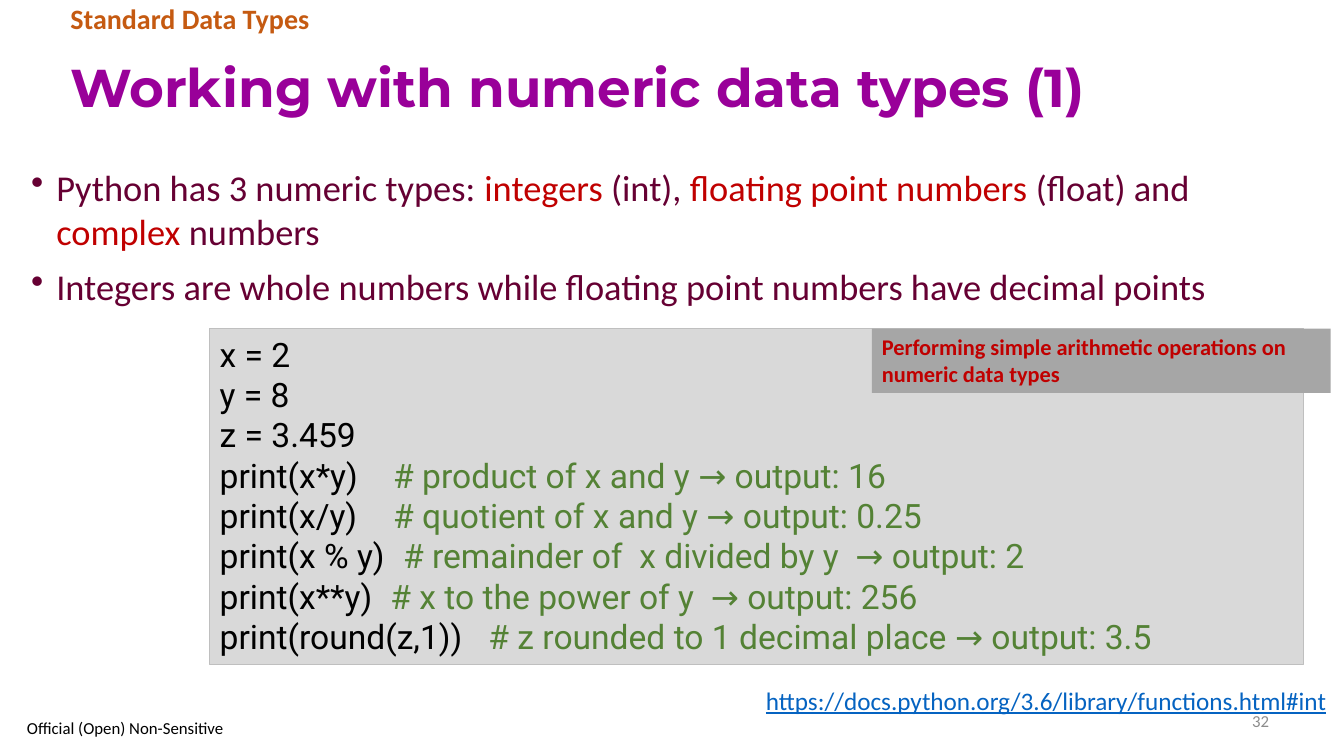
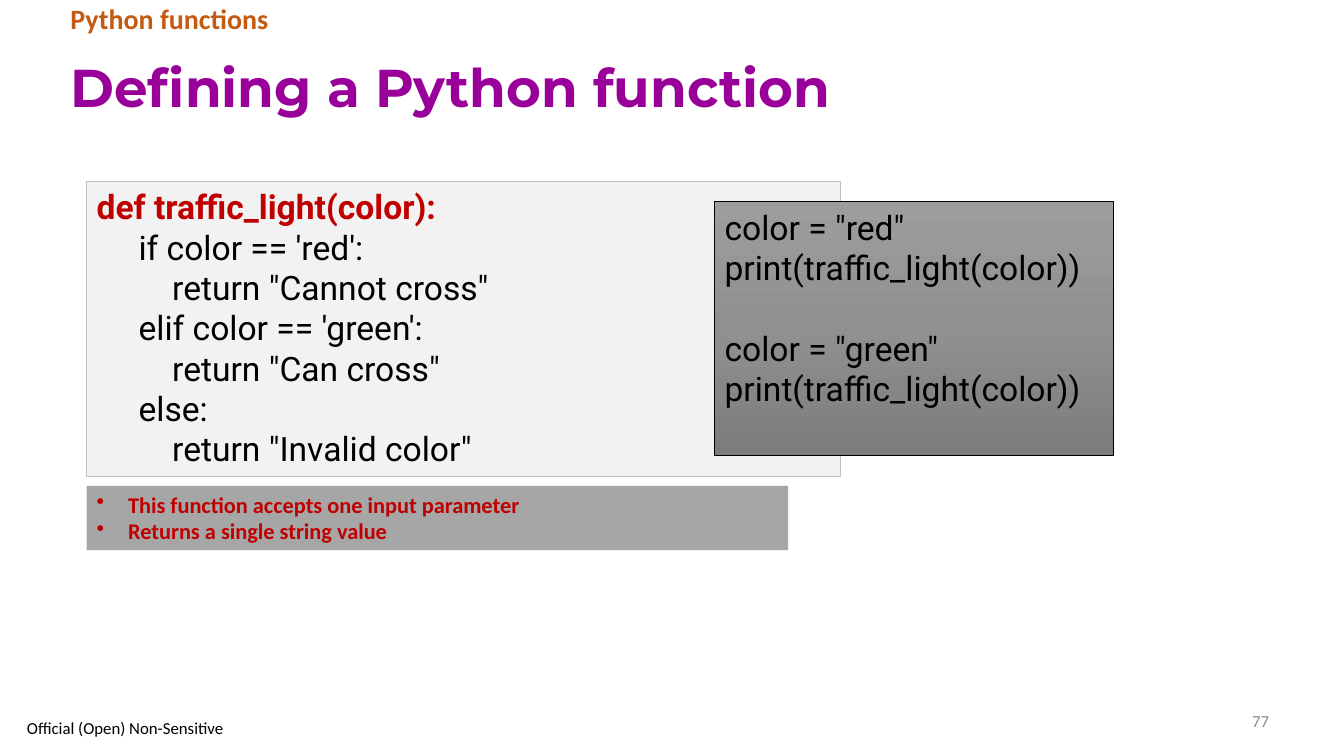
import copy
from dataclasses import dataclass

import lxml.etree
import pptx
import pptx.dml.color
import pptx.enum.shapes
import pptx.enum.text
import pptx.oxml.ns
import pptx.util

Pt = pptx.util.Pt
qn = pptx.oxml.ns.qn
Align = pptx.enum.text.PP_ALIGN
Anchor = pptx.enum.text.MSO_ANCHOR


@dataclass(frozen=True)
class Theme:
    # Fonts
    sans: str = "Calibri"
    head: str = "Montserrat"
    mono: str = "Roboto"
    # Colours
    purple: str = "990099"
    orange: str = "C55A11"
    plum: str = "660033"
    red: str = "C00000"
    green: str = "548235"
    blue: str = "0563C1"
    black: str = "000000"
    gray: str = "8C8C8C"
    light: str = "F2F2F2"
    panel: str = "D9D9D9"
    edge: str = "BFBFBF"
    band: str = "A6A6A6"
    shade: tuple = ((0, "9D9D9D"), (0.5, "909090"), (1, "7C7C7C"))
    # Type sizes
    title: int = 38
    body: int = 26
    code: int = 24
    topic: int = 20
    link: int = 18
    note: int = 16
    small: int = 12


T = Theme()


def rgb(color):
    return pptx.dml.color.RGBColor.from_string(color)


class Deck:
    def __init__(self):
        self.prs = pptx.Presentation()
        self.prs.slide_width, self.prs.slide_height = Pt(960), Pt(540)
        self.slide = None

    # Text: a line is a string or a list of (text, colour) parts
    def typeset(self, frame, lines, size, color, font=T.sans, bold=False):
        frame.word_wrap = True
        for i, line in enumerate(lines):
            para = frame.paragraphs[0] if i == 0 else frame.add_paragraph()
            para.alignment = Align.LEFT
            parts = [(line, color)] if isinstance(line, str) else line
            para.text = parts[0][0]
            for text, _ in parts[1:]:
                para.add_run().text = text
            for run, (_, tint) in zip(para.runs, parts):
                run.font.name, run.font.size = font, Pt(size)
                run.font.bold = bold
                run.font.color.rgb = rgb(tint)
        return frame.paragraphs

    def text(self, box, lines, size, color, anchor=Anchor.TOP, **look):
        shape = self.slide.shapes.add_textbox(*map(Pt, box))
        shape.text_frame.vertical_anchor = anchor
        return self.typeset(shape.text_frame, lines, size, color, **look)

    def panel(self, box, fill, lines, size, color, edge=None, width=0.75, **look):
        kind = pptx.enum.shapes.MSO_SHAPE.RECTANGLE
        shape = self.slide.shapes.add_shape(kind, *map(Pt, box))
        shape.shadow.inherit = False
        if isinstance(fill, str):
            shape.fill.solid()
            shape.fill.fore_color.rgb = rgb(fill)
        else:
            self.blend(shape, fill)
        if edge:
            shape.line.color.rgb = rgb(edge)
            shape.line.width = Pt(width)
        else:
            shape.line.fill.background()
        shape.text_frame.vertical_anchor = Anchor.TOP
        return self.typeset(shape.text_frame, lines, size, color, **look)

    def blend(self, shape, stops):
        shape.fill.gradient()
        shape.fill.gradient_angle = 270
        first = shape.fill.gradient_stops[0]._gs
        first.addnext(copy.deepcopy(first))
        for stop, (place, color) in zip(shape.fill.gradient_stops, stops):
            stop.position = place
            stop.color.rgb = rgb(color)

    def code(self, box, fill, lines, **look):
        return self.panel(box, fill, lines, T.code, T.black, font=T.mono, **look)

    def note(self, box, lines):
        return self.panel(box, T.band, lines, T.note, T.red, bold=True)

    # Paragraph layout
    def bullet(self, paras, indent):
        for para in paras:
            props = self.inset(para, indent)
            props.set("indent", str(-Pt(indent)))
            lxml.etree.SubElement(props, qn("a:buChar")).set("char", "•")

    def inset(self, para, left):
        props = para._p.get_or_add_pPr()
        props.set("marL", str(Pt(left)))
        return props

    def tab(self, para, place):
        tabs = lxml.etree.SubElement(para._p.get_or_add_pPr(), qn("a:tabLst"))
        stop = lxml.etree.SubElement(tabs, qn("a:tab"))
        stop.set("pos", str(Pt(place)))
        stop.set("algn", "l")

    # Title, topic and footer shared by all slides
    def start(self, topic, title, page):
        self.slide = self.prs.slides.add_slide(self.prs.slide_layouts[6])
        heads = (
            self.text((43.2, 29.5, 870.5, 69.8), [title], T.title, T.purple,
                      Anchor.MIDDLE, font=T.head, bold=True),
            self.text((43.2, 0, 744.5, 29.5), [topic], T.topic, T.orange, bold=True),
        )
        for paras in heads:
            paras[0].line_spacing = 0.9
        num = self.text((678.2, 500.4, 235.4, 28.8), [page], T.small, T.gray,
                        Anchor.MIDDLE)
        num[0].alignment = Align.RIGHT
        self.text((12.2, 510.5, 161.3, 18.7), ["Official (Open) Non-Sensitive"],
                  T.small, T.black, Anchor.MIDDLE)


def types(deck):
    deck.start("Standard Data Types", "Working with numeric data types (1)", "32")

    # Code with comments set at tab stops
    calls = (
        ("print(x*y)", "# product of x and y → output: 16", 124),
        ("print(x/y)", "# quotient of x and y → output: 0.25", 124),
        ("print(x % y)", "# remainder of  x divided by y  → output: 2", 131),
        ("print(x**y)", "# x to the power of y  → output: 256", 122),
        ("print(round(z,1))", "# z rounded to 1 decimal place → output: 3.5", 192),
    )
    lines = ["x = 2", "y = 8", "z = 3.459"]
    lines += [[(call + "\t", T.black), (hint, T.green)] for call, hint, _ in calls]
    paras = deck.code((149.8, 234.7, 781.2, 239.8), T.panel, lines, edge=T.edge)
    for para, (_, _, place) in zip(paras[3:], calls):
        deck.tab(para, place)

    # Reference
    link = deck.text((540, 486, 420, 28.8),
                     ["https://docs.python.org/3.6/library/functions.html#int"],
                     T.link, T.blue)
    link[0].runs[0].font.underline = True

    # Main points
    points = deck.text((15.1, 114.5, 935.3, 70.6), [
        [("Python has 3 numeric types: ", T.plum), ("integers ", T.red),
         ("(int), ", T.plum), ("floating point numbers ", T.red),
         ("(float) and ", T.plum), ("complex ", T.red), ("numbers", T.plum)],
        "Integers are whole numbers while floating point numbers have decimal points",
    ], T.body, T.plum)
    for para in points:
        para.space_before = Pt(8)
    deck.bullet(points, 18)

    deck.note((622.8, 234.7, 327.6, 46),
              ["Performing simple arithmetic operations on numeric data types"])


def define(deck):
    deck.start("Python functions", "Defining a Python function", "77")

    # Function body, indented by depth
    body = (
        (0, "def traffic_light(color):"),
        (30, "if color == 'red':"),
        (54, 'return "Cannot cross"'),
        (30, "elif color == 'green':"),
        (54, 'return "Can cross"'),
        (30, "else:"),
        (54, 'return "Invalid color"'),
    )
    paras = deck.code((61.9, 129.6, 538.6, 211), T.light,
                      [line for _, line in body], edge=T.edge)
    for para, (left, _) in zip(paras, body):
        deck.inset(para, left)
    head = paras[0].runs[0].font
    head.bold = True
    head.color.rgb = rgb(T.red)

    notes = deck.note((61.9, 347, 501.1, 46), [
        "This function accepts one input parameter",
        "Returns a single string value",
    ])
    deck.bullet(notes, 22.5)

    # Sample calls, the second pair one line lower
    calls = deck.code((510.5, 144, 285.1, 181.4), T.shade, [
        'color = "red"', "print(traffic_light(color))",
        'color = "green"', "print(traffic_light(color))",
    ], edge=T.black, width=0.5)
    calls[2].space_before = Pt(28.8)


def main():
    deck = Deck()
    types(deck)
    define(deck)
    deck.prs.save("out.pptx")


if __name__ == "__main__":
    main()
